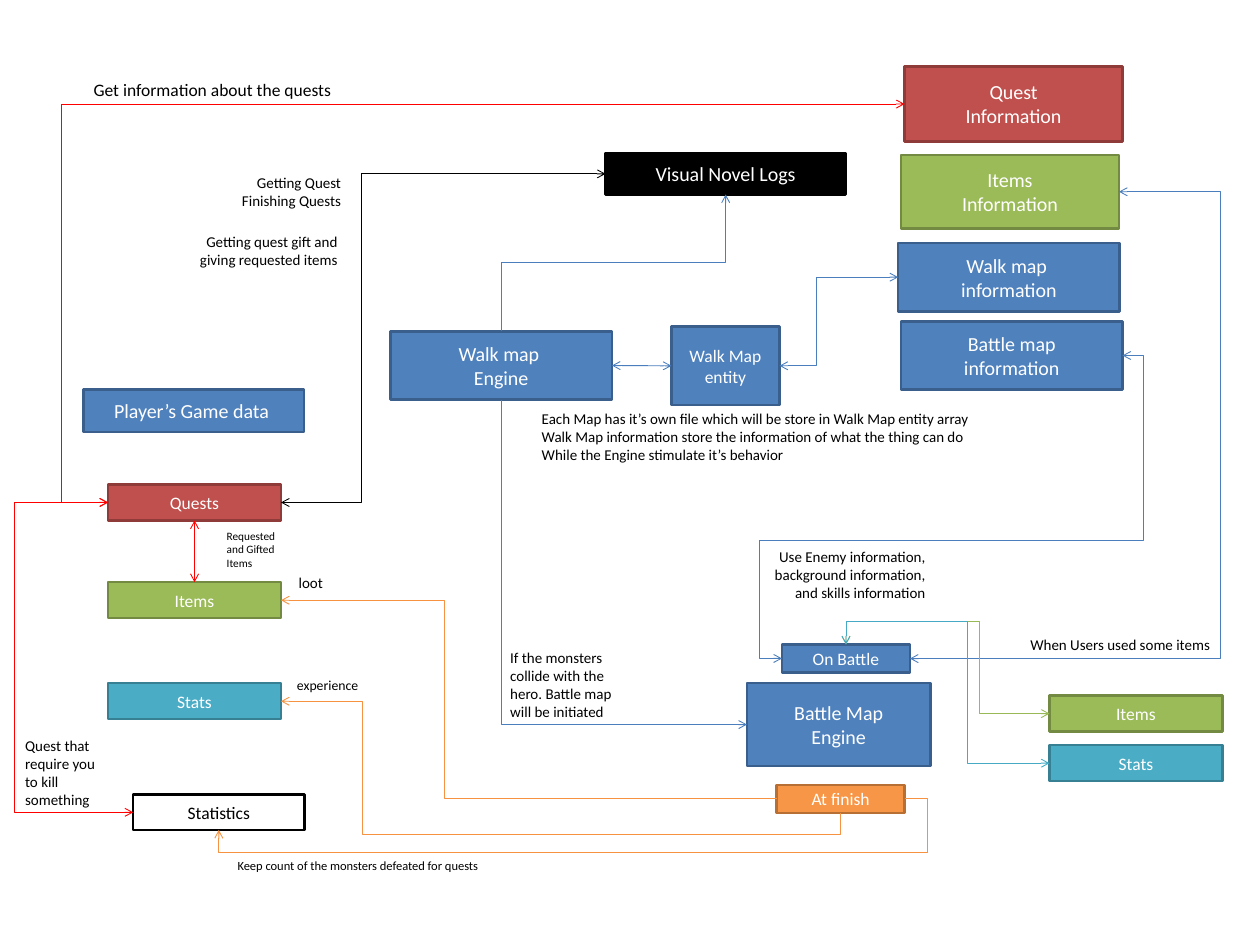
from lxml.etree import SubElement
from pptx import Presentation
from pptx.dml.color import RGBColor
from pptx.enum.shapes import MSO_CONNECTOR as Wire, MSO_SHAPE as Form
from pptx.enum.text import MSO_ANCHOR as Anchor, PP_ALIGN as Align
from pptx.oxml.ns import qn
from pptx.util import Cm, Pt

BLACK = RGBColor(0x00, 0x00, 0x00)
WHITE = RGBColor(0xFF, 0xFF, 0xFF)
BLUE = RGBColor(0x4F, 0x81, 0xBD)
NAVY = RGBColor(0x3A, 0x5F, 0x8C)
GREEN = RGBColor(0x9B, 0xBB, 0x59)
OLIVE = RGBColor(0x73, 0x8A, 0x42)
BRICK = RGBColor(0xC0, 0x50, 0x4D)
MAROON = RGBColor(0x8E, 0x3B, 0x39)
TEAL = RGBColor(0x4B, 0xAC, 0xC6)
PINE = RGBColor(0x37, 0x7F, 0x92)
ORANGE = RGBColor(0xF7, 0x96, 0x46)
BROWN = RGBColor(0xB7, 0x6F, 0x34)
RED = RGBColor(0xFF, 0x00, 0x00)
SKY = RGBColor(0x4B, 0x7E, 0xBC)
AMBER = RGBColor(0xF6, 0x92, 0x40)
LIME = RGBColor(0x98, 0xB9, 0x55)
AQUA = RGBColor(0x46, 0xAA, 0xC5)

EDGE = {BLUE: NAVY, GREEN: OLIVE, BRICK: MAROON, TEAL: PINE,
        ORANGE: BROWN, BLACK: BLACK, WHITE: BLACK}
TOP, LEFT, BOTTOM, RIGHT = range(4)  # connection sites of a rectangle


def write(frame, text, size=12, color=BLACK, align=Align.LEFT,
          anchor=Anchor.TOP, wrap=True, font="Calibri"):
    frame.text = text
    frame.word_wrap = wrap
    frame.vertical_anchor = anchor
    for para in frame.paragraphs:
        para.alignment = align
        for run in para.runs:
            run.font.name = font
            run.font.size = Pt(size)
            run.font.color.rgb = color


class Chart:
    def __init__(self, slide, edge=2, thin=0.75):
        self.slide = slide
        self.edge = Pt(edge)
        self.thin = Pt(thin)

    def box(self, text, x, y, w, h, fill=BLUE, size=16):
        shape = self.slide.shapes.add_shape(
            Form.RECTANGLE, Cm(x), Cm(y), Cm(w), Cm(h))
        shape.shadow.inherit = False
        shape.fill.solid()
        shape.fill.fore_color.rgb = fill
        shape.line.color.rgb = EDGE[fill]
        shape.line.width = self.edge
        write(shape.text_frame, text, size=size, align=Align.CENTER,
              color=BLACK if fill == WHITE else WHITE, anchor=Anchor.MIDDLE)
        return shape

    def tag(self, text, x, y, fill, w=4.88, h=1.02):
        return self.box(text, x, y, w, h, fill, size=14)

    def note(self, text, x, y, w, h, **style):
        frame = self.slide.shapes.add_textbox(
            Cm(x), Cm(y), Cm(w), Cm(h)).text_frame
        write(frame, text, **style)

    def link(self, start, exit, end, entry, color, turns=None, both=True):
        """Join two boxes; turns are the inner bends, straight if None."""
        kind = Wire.STRAIGHT if turns is None else Wire.ELBOW
        wire = self.slide.shapes.add_connector(kind, 0, 0, 0, 0)
        wire.begin_connect(start, exit)
        wire.end_connect(end, entry)
        wire.line.color.rgb = color
        wire.line.width = self.thin
        if turns is not None:
            self.bend(wire, exit in (TOP, BOTTOM), turns)
        line = wire.line._get_or_add_ln()
        for tip in ("headEnd", "tailEnd") if both else ("tailEnd",):
            SubElement(line, qn("a:" + tip), type="arrow")
        SubElement(wire._element.spPr, qn("a:effectLst"))

    def bend(self, wire, upright, turns):
        """Turn, flip and adjust an elbow so that it bends at the given turns."""
        x1, y1, x2, y2 = wire.begin_x, wire.begin_y, wire.end_x, wire.end_y
        w, h = abs(x2 - x1), abs(y2 - y1)
        if upright:
            angle = 90 if y2 < y1 else 270
            flips = True, (x2 > x1) == (y2 < y1)
            axes = (y1, y2), (x1, x2)
            w, h = h, w
        else:
            angle = 180 if x2 < x1 else 0
            flips = False, (x2 < x1) == (y2 > y1)
            axes = (x1, x2), (y1, y2)
        wire.left, wire.top = (x1 + x2 - w) // 2, (y1 + y2 - h) // 2
        wire.width, wire.height = w, h
        props = wire._element.spPr
        frame = props.find(qn("a:xfrm"))
        frame.set("rot", str(angle * 60000))
        for name, flip in zip(("flipH", "flipV"), flips):
            frame.set(name, str(int(flip)))
        shape = props.find(qn("a:prstGeom"))
        shape.set("prst", f"bentConnector{len(turns) + 2}")
        guides = shape.find(qn("a:avLst"))
        for i, turn in enumerate(turns):
            a, b = axes[i % 2]
            part = round((Cm(turn) - a) / (b - a) * 100000)
            SubElement(guides, qn("a:gd"), name=f"adj{i + 1}",
                       fmla=f"val {part}")


def main():
    deck = Presentation()
    deck.slide_width, deck.slide_height = Cm(35.56), Cm(26.67)
    c = Chart(deck.slides.add_slide(deck.slide_layouts[6]))

    logs = c.box("Visual Novel Logs", 17.09, 4.32, 6.78, 1.17, BLACK)
    goods = c.box("Items\nInformation", 25.43, 4.37, 6.15, 2.08, GREEN)
    lore = c.box("Quest\nInformation", 25.53, 1.88, 6.15, 2.11, BRICK)
    walk = c.box("Walk map \ninformation", 25.35, 6.86, 6.25, 1.93)
    field = c.box("Battle map\ninformation", 25.43, 9.07, 6.25, 1.93)
    engine = c.box("Walk map \nEngine", 11.02, 9.35, 6.25, 1.93)
    c.box("Player’s Game data ", 2.36, 11, 6.22, 1.19)
    fight = c.box("Battle Map\nEngine", 21.08, 19.28, 5.18, 2.34)
    entry = c.box("Walk Map entity", 18.95, 9.22, 3.05, 2.21, size=14)

    quests = c.tag("Quests", 3.05, 13.67, BRICK)
    items = c.tag("Items", 3.05, 16.43, GREEN)
    stats = c.tag("Stats", 3.05, 19.28, TEAL)
    tally = c.tag("Statistics", 3.76, 22.43, WHITE, 4.83, 0.99)
    battle = c.tag("On Battle", 22.07, 18.19, BLUE, 3.61, 0.79)
    finish = c.tag("At finish", 21.92, 22.15, ORANGE, 3.61, 0.79)
    used = c.tag("Items", 29.62, 19.63, GREEN)
    skill = c.tag("Stats", 29.62, 21.03, TEAL)

    c.link(engine, TOP, logs, BOTTOM, SKY, [7.42], both=False)
    c.link(logs, LEFT, quests, RIGHT, BLACK, [10.21])
    c.link(entry, RIGHT, walk, LEFT, SKY, [23.04])
    c.link(engine, RIGHT, entry, LEFT, SKY)
    c.link(engine, BOTTOM, fight, LEFT, SKY, [], both=False)
    c.link(battle, LEFT, field, RIGHT, SKY, [21.44, 15.27, 32.28])
    c.link(goods, RIGHT, battle, RIGHT, SKY, [34.44])
    c.link(quests, LEFT, tally, LEFT, RED, [0.41])
    c.link(lore, LEFT, quests, LEFT, RED, [1.75])
    c.link(items, TOP, quests, BOTTOM, RED)
    c.link(finish, RIGHT, tally, BOTTOM, AMBER, [26.16, 24.05], both=False)
    c.link(finish, LEFT, items, RIGHT, AMBER, [12.55], both=False)
    c.link(finish, BOTTOM, stats, RIGHT, AMBER, [23.55, 10.24], both=False)
    c.link(battle, TOP, used, LEFT, LIME, [17.55, 27.64])
    c.link(battle, TOP, skill, LEFT, AQUA, [17.55, 27.31])

    c.note("Getting Quest\nFinishing Quests", 6.53, 4.78, 3.35, 1.27,
           align=Align.RIGHT, wrap=False)
    c.note("Getting quest gift and giving requested items",
           4.85, 6.45, 4.93, 1.27, align=Align.RIGHT)
    c.note("Use Enemy information, background information, "
           "and skills information", 21.39, 15.32, 4.98, 1.8,
           align=Align.RIGHT)
    c.note("When Users used some items", 28.83, 17.81, 5.66, 0.76, wrap=False)
    c.note("Get information about the quests", 2.39, 2.11, 7.29, 0.86,
           size=14, wrap=False)
    c.note("loot", 8.18, 16.05, 1.22, 0.76, wrap=False)
    c.note("experience", 8.13, 18.97, 2.26, 0.74, size=11, wrap=False)
    c.note("Keep count of the monsters defeated for quests",
           6.15, 24.08, 7.59, 0.69, size=10, align=Align.RIGHT)
    c.note("Each Map has it’s own file which will be store in Walk Map "
           "entity array\nWalk Map information store the information of "
           "what the thing can do\nWhile the Engine stimulate it’s behavior",
           15.04, 11.43, 12.7, 1.8, wrap=False)
    c.note("If the monsters collide with the hero. Battle map will be "
           "initiated", 14.15, 18.19, 3.96, 2.31)
    c.note("Requested and Gifted Items", 6.15, 14.81, 2.34, 1.42, size=9)
    c.note("Quest that require you to kill something",
           0.46, 20.65, 2.92, 2.31)
    deck.save("out.pptx")


if __name__ == "__main__":
    main()
